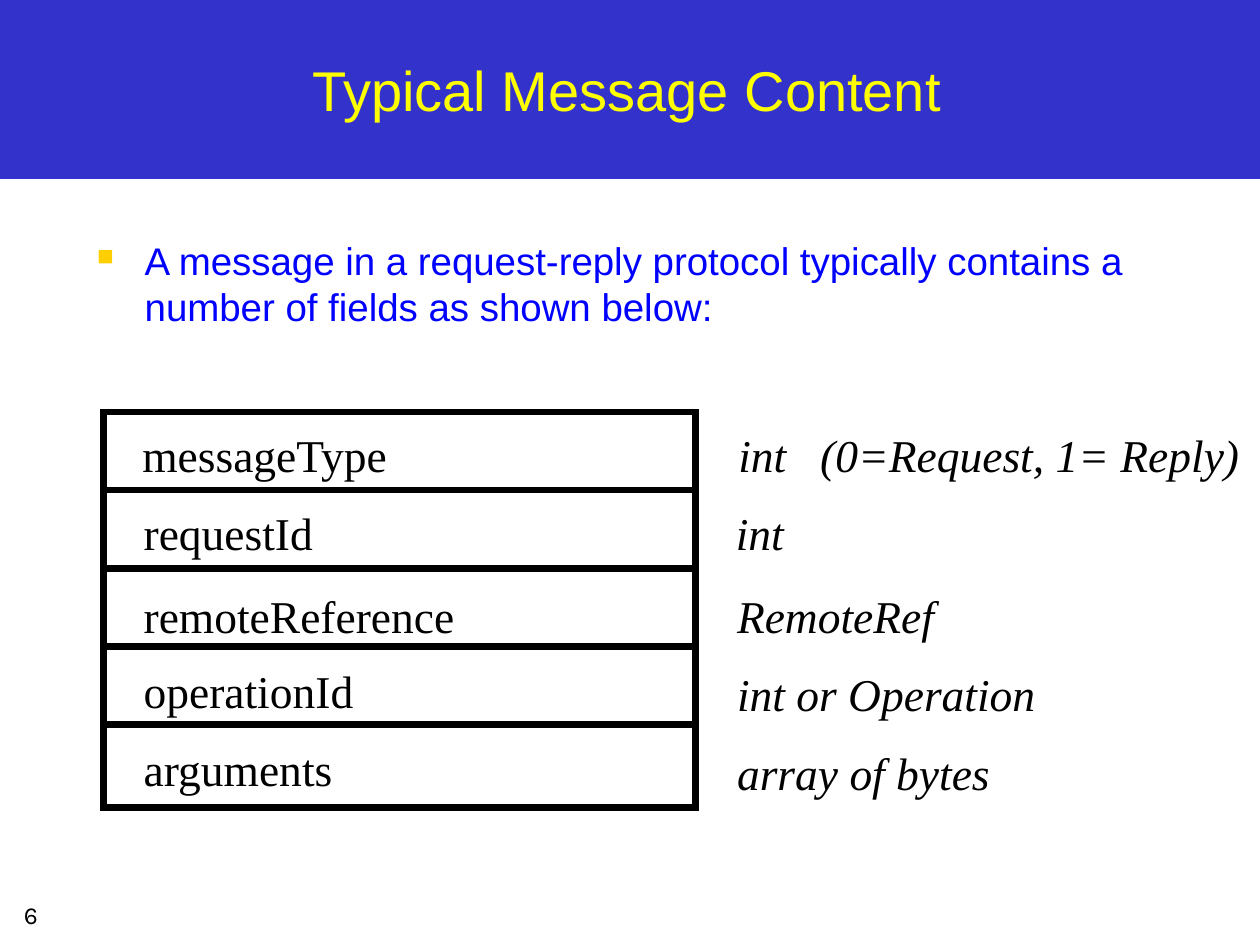
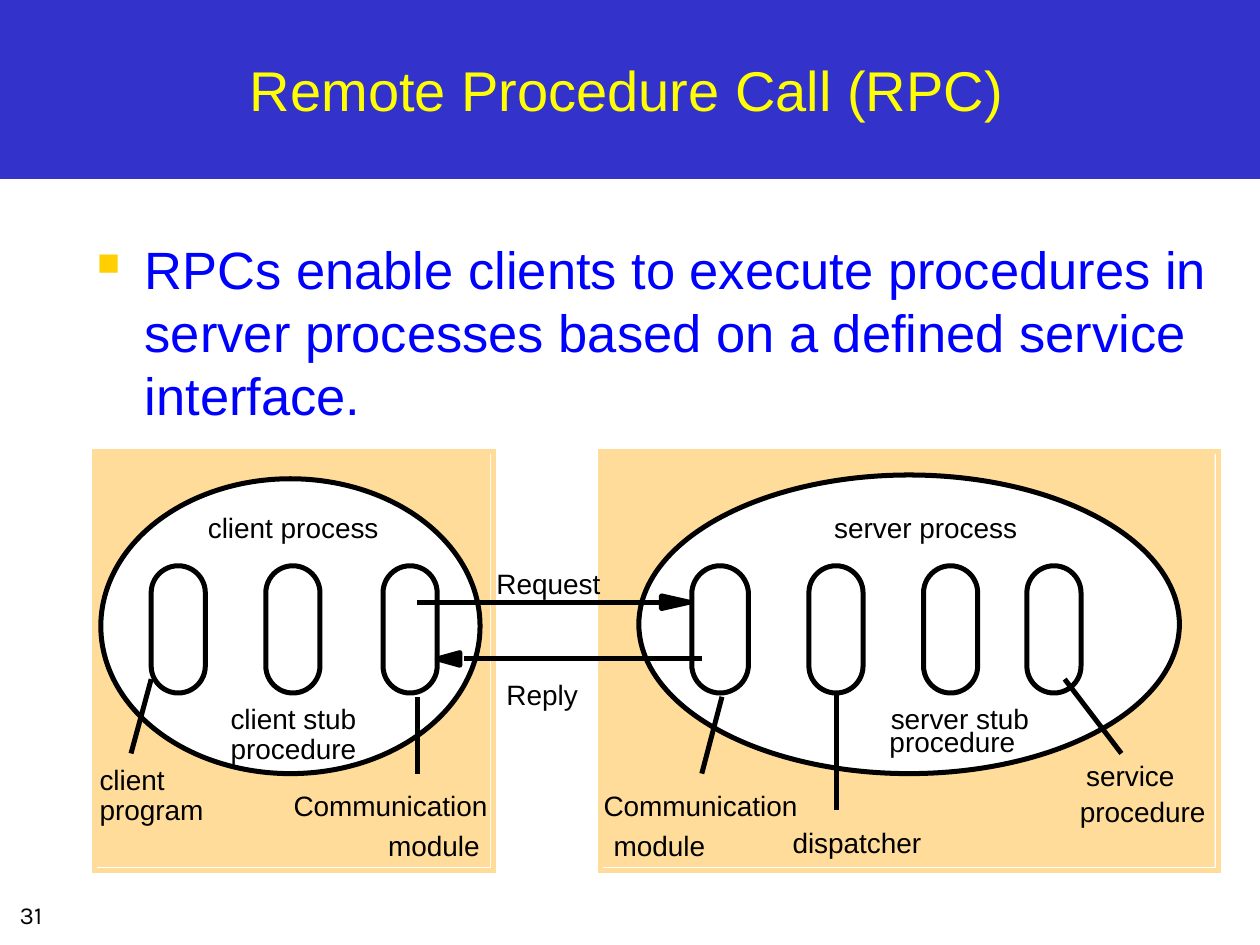
from lxml import etree
from pptx import Presentation
from pptx.dml.color import RGBColor
from pptx.enum.shapes import MSO_CONNECTOR as Line, MSO_SHAPE as Shape
from pptx.enum.text import MSO_ANCHOR as Anchor, PP_ALIGN as Align
from pptx.oxml.ns import qn
from pptx.util import Inches, Pt

COLORS = {
    "band": "3333CC", "title": "FFFF00", "body": "0000FF", "bullet": "FFCF01",
    "ink": "000000", "paper": "FFFFFF", "host": "FFDC99",
}


def style(item, fill=None, line=None, width=2.86, sharp=False):
    """Set fill and line of a shape or connector, without a shadow."""
    if hasattr(item, "fill"):
        if fill:
            item.fill.solid()
            item.fill.fore_color.rgb = RGBColor.from_string(COLORS[fill])
        else:
            item.fill.background()
    if line:
        item.line.color.rgb = RGBColor.from_string(COLORS[line])
        item.line.width = Pt(width)
    else:
        item.line.fill.background()
    props = item._element.spPr
    if sharp:
        etree.SubElement(props.find(qn("a:ln")), qn("a:miter"), lim="800000")
    etree.SubElement(props, qn("a:effectLst"))


def write(page, text, place, size, font="Arial", color="ink",
          margins=(0, 0), align=Align.LEFT, italic=False):
    """Add a text box with one run of text."""
    box = page.shapes.add_textbox(*[Inches(value) for value in place])
    frame = box.text_frame
    frame.word_wrap = True
    frame.margin_left = frame.margin_right = Inches(margins[0])
    frame.margin_top = frame.margin_bottom = Inches(margins[1])
    para = frame.paragraphs[0]
    para.alignment = align
    span = para.add_run()
    span.text = text
    span.font.size = Pt(size)
    span.font.name = font
    span.font.italic = italic
    span.font.color.rgb = RGBColor.from_string(COLORS[color])
    return box


deck = Presentation()
deck.slide_width, deck.slide_height = Inches(10), Inches(7.5)

# Shared frame: band, page number, title and bullet
pages = []
for number, title, bullet, size, space in [
    ("6", "Typical Message Content",
     "A message in a request-reply protocol typically contains a number of "
     "fields as shown below:", 22, 5.5),
    ("31", "Remote Procedure Call (RPC)",
     "RPCs enable clients to execute procedures in server processes based on "
     "a defined service interface.", 30, 7.5),
]:
    page = deck.slides.add_slide(deck.slide_layouts[6])
    pages.append(page)
    band = page.shapes.add_shape(Shape.RECTANGLE, 0, 0, Inches(10), Inches(1.42))
    style(band, fill="band")
    write(page, number, (-0.33, 7.09, 1.15, 0.37), 14, "Karla",
          margins=(0.1, 0.05), align=Align.CENTER)
    heading = write(page, title, (0.17, 0.17, 9.61, 1.08), 32, color="title",
                    margins=(0.1, 0.05), align=Align.CENTER)
    heading.text_frame.vertical_anchor = Anchor.MIDDLE

    body = write(page, bullet, (0.67, 1.83, 9.08, 4.87), size, color="body",
                 margins=(0.1, 0.05))
    para = body.text_frame.paragraphs[0]
    para.space_before = Pt(space)
    props = para._p.get_or_add_pPr()
    props.set("marL", str(Inches(0.38)))
    props.set("indent", str(Inches(-0.38)))
    tint = etree.SubElement(props, qn("a:buClr"))
    etree.SubElement(tint, qn("a:srgbClr"), val=COLORS["bullet"])
    etree.SubElement(props, qn("a:buSzPct"), val="60000")
    etree.SubElement(props, qn("a:buChar"), char="■")

message_page, rpc_page = pages

# Message layout: outer box and four rules
message_box = message_page.shapes.add_shape(
    Shape.RECTANGLE, Inches(0.82), Inches(3.27), Inches(4.7), Inches(3.14))
style(message_box, line="ink", width=3.75, sharp=True)
for row in range(1, 5):
    left = 0.85 if row == 4 else 0.82
    y = Inches(3.27 + 0.62 * row)
    rule = message_page.shapes.add_connector(
        Line.STRAIGHT, Inches(left), y, Inches(left + 4.67), y)
    style(rule, line="ink", width=3.75)

# Field names and their types: text, left, top
for field, left, top in [
    ("messageType", 1.13, 3.39), ("requestId", 1.14, 4.01),
    ("remoteReference", 1.14, 4.67), ("operationId", 1.14, 5.26),
    ("arguments", 1.14, 5.88),
]:
    write(message_page, field, (left, top, 2.6, 0.43), 26, "Times New Roman")
for kind, left, top in [
    ("int\t(0=Request, 1= Reply)", 5.86, 3.39), ("int", 5.84, 4.01),
    ("RemoteRef", 5.85, 4.67), ("int or Operation", 5.85, 5.29),
    ("array of bytes", 5.85, 5.91),
]:
    box = write(message_page, kind, (left, top, 4.1, 0.43), 26,
                "Times New Roman", italic=True)
    if "\t" in kind:
        props = box.text_frame.paragraphs[0]._p.get_or_add_pPr()
        stops = etree.SubElement(props, qn("a:tabLst"))
        etree.SubElement(stops, qn("a:tab"), pos=str(Inches(0.65)), algn="l")

# Client and server hosts, each a filled panel with a slightly larger frame
for left, width in [(0.75, 3.14), (4.77, 4.87)]:
    for grow, fill, line in [(0, "host", None), (0.03, None, "host")]:
        host = rpc_page.shapes.add_shape(
            Shape.RECTANGLE, Inches(left), Inches(3.58),
            Inches(width + grow), Inches(3.3 + grow))
        style(host, fill, line, sharp=True)

# Processes
for place in [(5.07, 3.77, 4.29, 2.37), (0.8, 3.8, 3.01, 2.34)]:
    process = rpc_page.shapes.add_shape(
        Shape.OVAL, *[Inches(value) for value in place])
    style(process, "paper", "ink")

# Modules inside the processes
for left in [1.2, 2.11, 3.04, 5.49, 6.42, 7.33, 8.15]:
    width = 0.45 if left == 5.49 else 0.43
    module = rpc_page.shapes.add_shape(
        Shape.ROUNDED_RECTANGLE, Inches(left), Inches(4.49),
        Inches(width), Inches(1.01))
    module.adjustments[0] = 0.5
    style(module, line="ink")

# Request and reply shafts, then the leaders from modules to their names
for x1, y1, x2, y2 in [
    (5.25, 4.78, 3.31, 4.78), (3.68, 5.23, 5.57, 5.23),
    (5.57, 6.14, 5.73, 5.53), (3.31, 6.14, 3.31, 5.53),
    (1.04, 5.98, 1.2, 5.39), (8.9, 5.98, 8.45, 5.39), (6.64, 6.43, 6.64, 5.5),
]:
    line = rpc_page.shapes.add_connector(
        Line.STRAIGHT, Inches(x1), Inches(y1), Inches(x2), Inches(y2))
    style(line, line="ink")

# Arrowheads: base x, tip x, middle y
for base, tip, y in [(5.25, 5.47, 4.78), (3.65, 3.47, 5.23)]:
    builder = rpc_page.shapes.build_freeform(Inches(base), Inches(y - 0.05))
    builder.add_line_segments([(Inches(tip), Inches(y)),
                               (Inches(base), Inches(y + 0.05))], close=True)
    style(builder.convert_to_shape(), "ink", "ink")

# Names in the diagram: text, left, top
for name, left, top in [
    ("client process", 1.65, 4.05), ("server process", 6.62, 4.05),
    ("Request", 3.94, 4.5), ("Reply", 4.02, 5.38),
    ("client stub", 1.83, 5.57), ("procedure", 1.83, 5.81),
    ("server stub", 7.07, 5.57), ("procedure", 7.06, 5.75),
    ("client", 0.79, 6.05), ("program", 0.79, 6.29),
    ("Communication", 2.33, 6.26), ("module", 3.08, 6.58),
    ("Communication", 4.79, 6.26), ("module", 4.87, 6.58),
    ("dispatcher", 6.29, 6.55),
    ("service", 8.62, 6.02), ("procedure", 8.57, 6.31),
]:
    width = 0.3 + 0.1 * len(name)
    write(rpc_page, name, (left, top, width, 0.27), 16)

deck.save("out.pptx")
